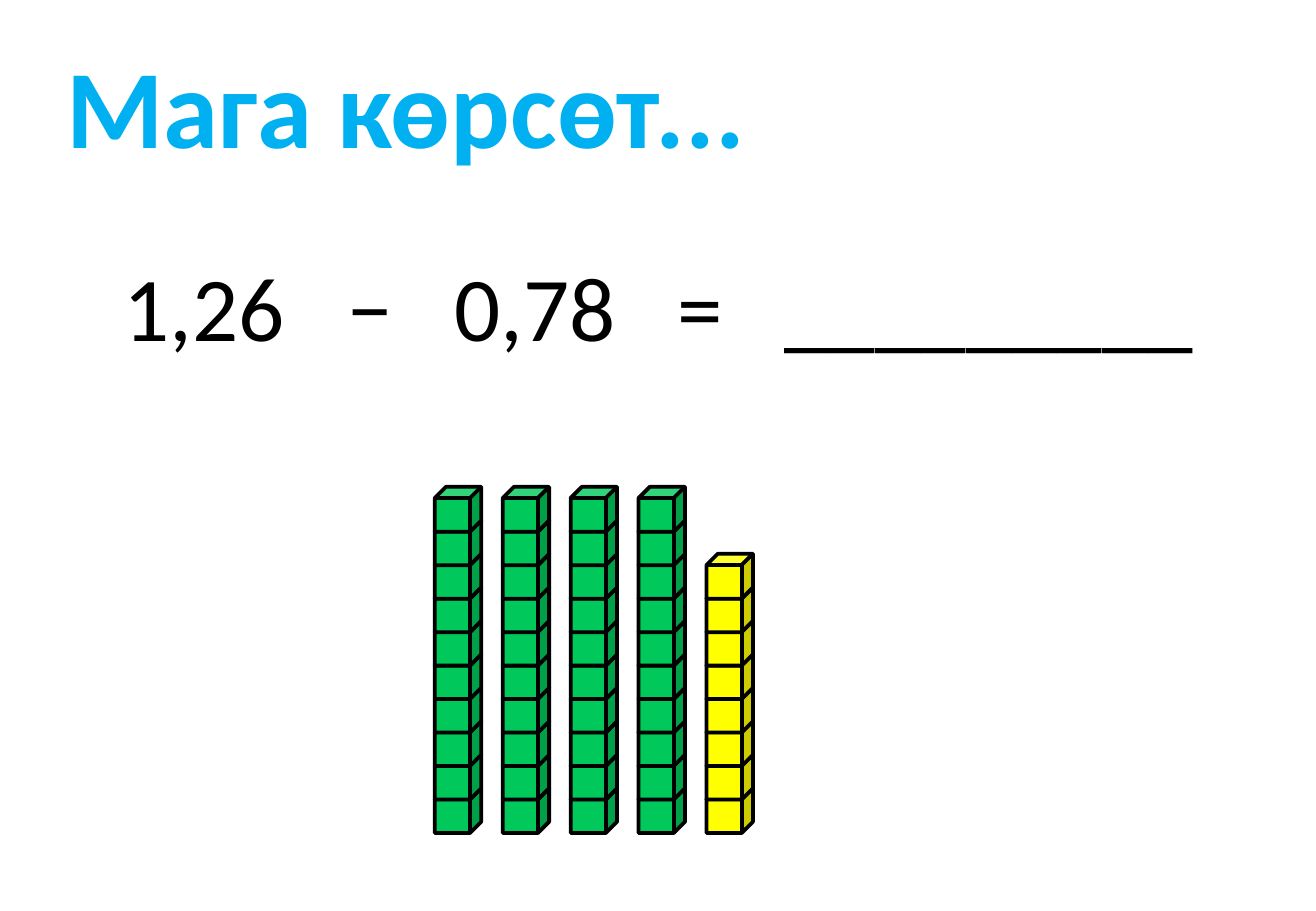
from lxml.etree import SubElement
from pptx import Presentation
from pptx.dml.color import RGBColor
from pptx.enum.shapes import MSO_SHAPE
from pptx.oxml.ns import qn
from pptx.util import Cm, Pt

COLORS = {"title": "00B0F0", "black": "000000", "green": "00C85A", "yellow": "FFFF00"}
FONT = "Calibri"

TITLE = "Мага көрсөт..."
EQUATION = ["1,26", "−", "0,78", "=", "_________"]
EQUATION_TABS = [4.67, 6.91, 11.57, 13.81]  # cm from the start of the line
RODS = [("green", 10)] * 4 + [("yellow", 8)]  # colour, number of cubes

ROD_LEFT, ROD_PITCH = 9.09, 1.42
BOTTOM_CUBE_TOP, CUBE_STEP = 16.48, 0.7
CUBE_W, CUBE_H = 0.97, 0.94


def rgb(name):
    return RGBColor.from_string(COLORS[name])


def add_text(slide, text, box, size, color, inset, bold=False, tabs=()):
    """Add one line of text; tabs are stop positions in cm."""
    tf = slide.shapes.add_textbox(*map(Cm, box)).text_frame
    tf.word_wrap = True
    tf.margin_left = Cm(inset)
    p = tf.paragraphs[0]
    if tabs:
        tab_list = SubElement(p._p.get_or_add_pPr(), qn("a:tabLst"))
        for pos in tabs:
            SubElement(tab_list, qn("a:tab"), pos=str(Cm(pos)), algn="l")
    r = p.add_run()
    r.text = text
    r.font.name = FONT
    r.font.size = Pt(size)
    r.font.bold = bold
    r.font.color.rgb = rgb(color)


def add_rod(slide, left, color, count):
    """Stack cubes from the bottom up in one group."""
    rod = slide.shapes.add_group_shape()
    for i in range(count):
        top = BOTTOM_CUBE_TOP - i * CUBE_STEP
        cube = rod.shapes.add_shape(
            MSO_SHAPE.CUBE, Cm(left), Cm(top), Cm(CUBE_W), Cm(CUBE_H))
        cube.shadow.inherit = False
        cube.fill.solid()
        cube.fill.fore_color.rgb = rgb(color)
        cube.line.color.rgb = rgb("black")
        cube.line.width = Pt(2.25)


def main():
    prs = Presentation()
    prs.slide_width, prs.slide_height = Cm(27.51), Cm(19.05)
    slide = prs.slides.add_slide(prs.slide_layouts[6])

    add_text(slide, "\t".join(EQUATION), (2.21, 5.11, 23.11, 2.57), 54, "black",
             inset=0.38, tabs=EQUATION_TABS)
    for i, (color, count) in enumerate(RODS):
        add_rod(slide, ROD_LEFT + i * ROD_PITCH, color, count)
    add_text(slide, TITLE, (0.61, 0.66, 19.15, 3.07), 66, "title",
             inset=0.78, bold=True)

    prs.save("out.pptx")


if __name__ == "__main__":
    main()
